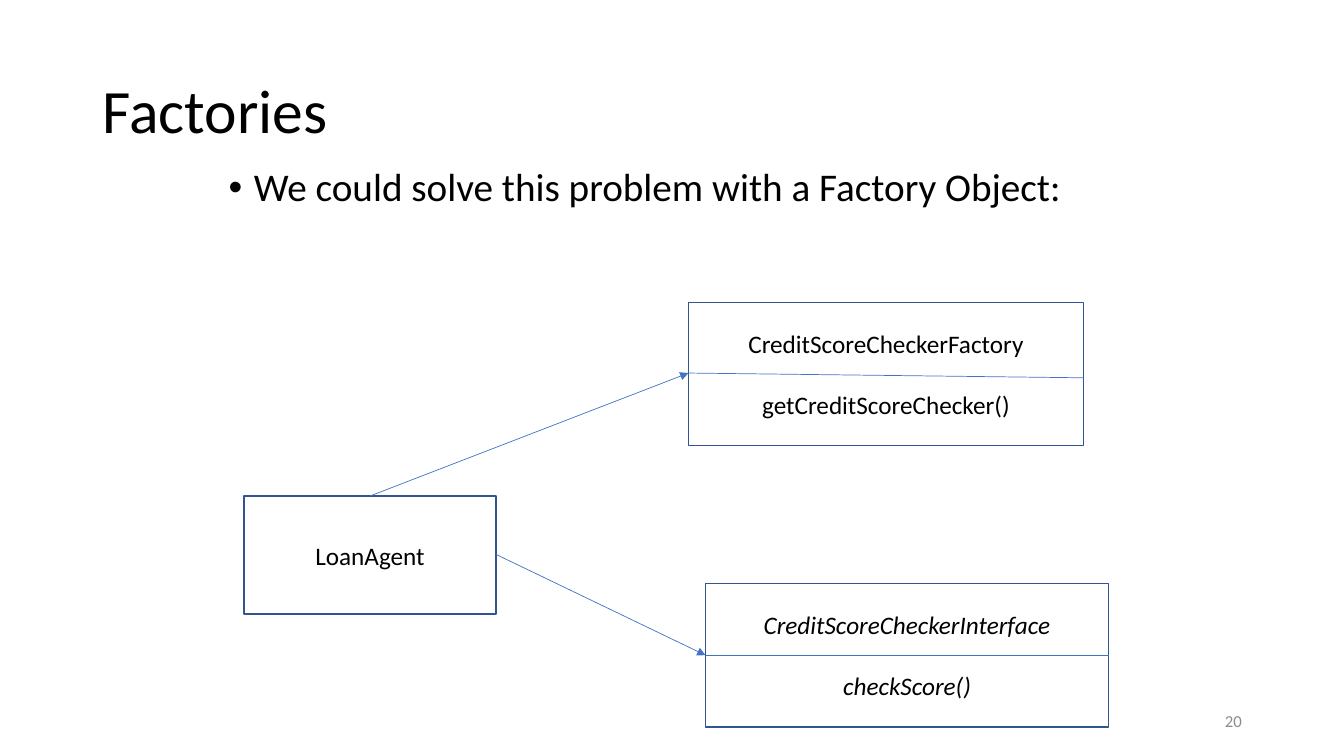
"""Build the Factories slide: a loan agent using a factory and an interface."""
from lxml import etree
from pptx import Presentation
from pptx.dml.color import RGBColor
from pptx.enum import shapes, text
from pptx.oxml import ns
from pptx.util import Cm, Pt

BLACK = RGBColor(0x00, 0x00, 0x00)
GREY = RGBColor(0x8C, 0x8C, 0x8C)
BORDER = RGBColor(0x32, 0x54, 0x91)
LINK = RGBColor(0x44, 0x72, 0xC4)
LEFT, CENTER, RIGHT = text.PP_ALIGN.LEFT, text.PP_ALIGN.CENTER, text.PP_ALIGN.RIGHT
TOP, MIDDLE = text.MSO_ANCHOR.TOP, text.MSO_ANCHOR.MIDDLE


def write(holder, wording, size, align, anchor, color=BLACK, italic=False):
    frame = holder.text_frame
    frame.word_wrap = True
    frame.vertical_anchor = anchor
    frame.text = wording
    for paragraph in frame.paragraphs:
        paragraph.alignment = align
        font = paragraph.runs[0].font
        font.name, font.size, font.italic = "Calibri", Pt(size), italic
        font.color.rgb = color
    return frame.paragraphs


deck = Presentation()
deck.slide_width, deck.slide_height = Cm(33.87), Cm(19.05)
slide = deck.slides.add_slide(deck.slide_layouts[6])

labels = [
    ("Factories", (2.34, 1.02, 29.21, 3.68), 44, LEFT, MIDDLE, BLACK),
    ("We could solve this problem with a Factory Object:",
     (5.51, 4.11, 22.86, 2.87), 28, LEFT, TOP, BLACK),
    ("20", (23.93, 17.65, 7.62, 1.02), 12, RIGHT, MIDDLE, GREY),
]
heading, statement, page_number = [
    write(slide.shapes.add_textbox(*map(Cm, place)), wording, size, align, anchor, color)[0]
    for wording, place, size, align, anchor, color in labels
]
heading.line_spacing = statement.line_spacing = 0.9
statement.space_before = Pt(10)
bullet_props = statement._p.get_or_add_pPr()
bullet_props.set("marL", str(Cm(0.64)))
bullet_props.set("indent", str(-Cm(0.64)))
etree.SubElement(bullet_props, ns.qn("a:buFont"), typeface="Arial")
etree.SubElement(bullet_props, ns.qn("a:buChar"), char="•")

classes = [
    ("LoanAgent", (6.15, 12.5, 6.35, 2.97), False),
    ("CreditScoreCheckerInterface\ncheckScore()", (17.78, 14.71, 10.16, 3.61), True),
    ("CreditScoreCheckerFactory\ngetCreditScoreChecker()", (17.35, 7.62, 9.96, 3.61), False),
]
for wording, place, italic in classes:
    box = slide.shapes.add_shape(shapes.MSO_SHAPE.RECTANGLE, *map(Cm, place))
    box.shadow.inherit = False
    box.fill.background()
    box.line.color.rgb = BORDER
    box.line.width = Pt(1)
    members = write(box, wording, 18, CENTER, MIDDLE, italic=italic)
    for method in members[1:]:
        method.space_before = Pt(22)

links = [
    ((12.5, 13.97, 17.78, 16.51), True),
    ((17.78, 16.51, 27.94, 16.51), False),
    ((17.35, 9.4, 27.31, 9.52), False),
    ((9.32, 12.5, 17.35, 9.4), True),
]
for ends, has_arrow in links:
    link = slide.shapes.add_connector(shapes.MSO_CONNECTOR.STRAIGHT, *map(Cm, ends))
    link.line.color.rgb = LINK
    link.line.width = Pt(0.5)
    if has_arrow:
        etree.SubElement(link.line._get_or_add_ln(), ns.qn("a:tailEnd"), type="triangle")
    etree.SubElement(link._element.spPr, ns.qn("a:effectLst"))

deck.save("out.pptx")
